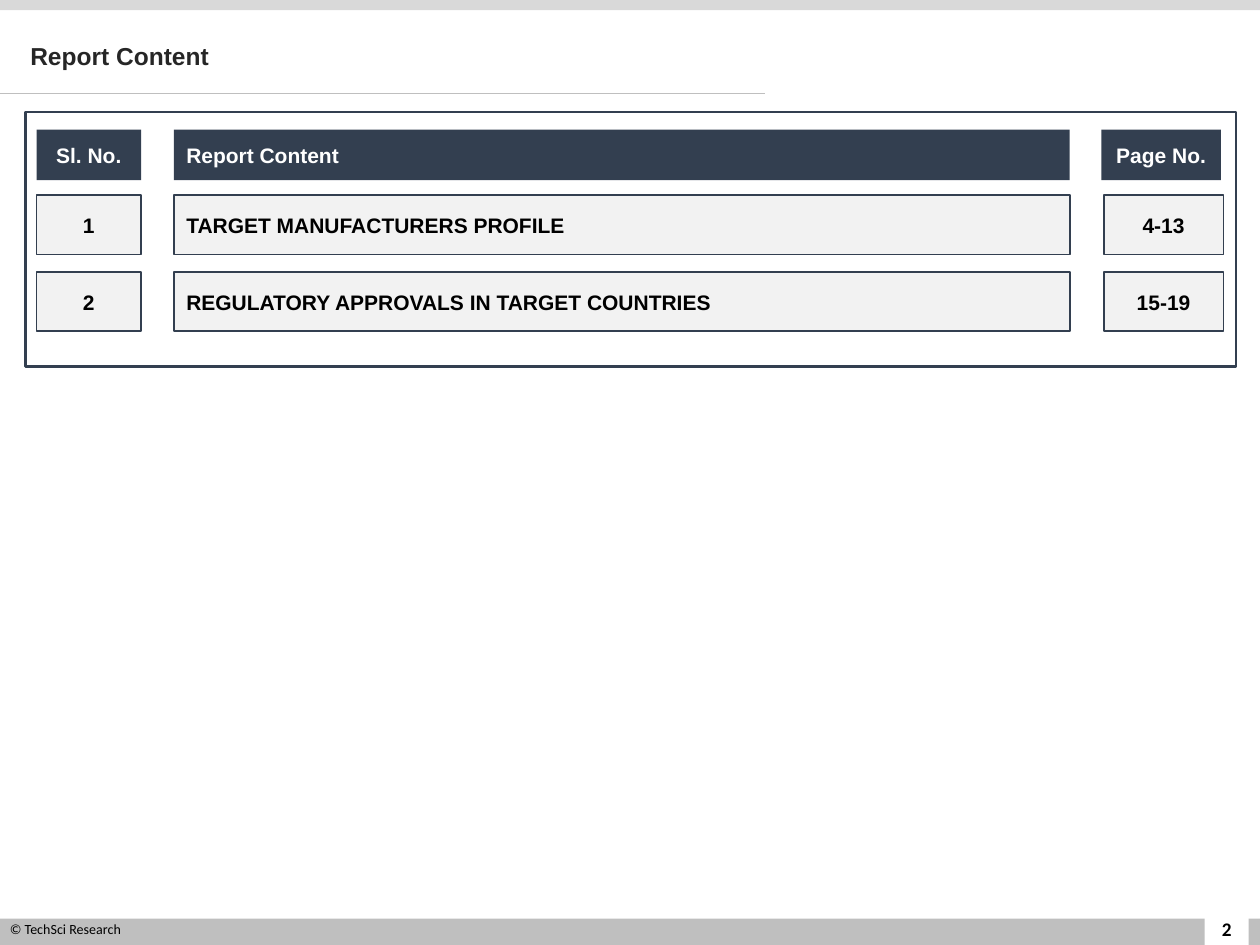
"""Build the report content slide with its numbered contents rows."""
from lxml import etree
from pptx import Presentation
from pptx.dml.color import RGBColor
from pptx.enum.shapes import MSO_CONNECTOR, MSO_SHAPE
from pptx.enum.text import MSO_ANCHOR as Anchor, MSO_AUTO_SIZE, PP_ALIGN as Align
from pptx.oxml.ns import qn
from pptx.util import Inches, Pt

COLORS = {
    "navy": "333F50",
    "panel": "F2F2F2",
    "footer": "BFBFBF",
    "header": "D9D9D9",
    "title": "262626",
    "white": "FFFFFF",
    "black": "000000",
}


class SlideBuilder:
    def __init__(self, deck):
        self.page = deck.slides.add_slide(deck.slide_layouts[5])
        self.shapes = self.page.shapes

    def color(self, name):
        return RGBColor.from_string(COLORS[name])

    def add_text(self, box, text, size, color="black", font="Arial", bold=True,
                 align=Align.LEFT, anchor=Anchor.MIDDLE):
        frame = box.text_frame
        frame.word_wrap = True
        frame.auto_size = MSO_AUTO_SIZE.NONE
        frame.vertical_anchor = anchor
        para = frame.paragraphs[0]
        para.alignment = align
        span = para.add_run()
        span.text = text
        span.font.name = font
        span.font.size = Pt(size)
        span.font.bold = bold
        span.font.color.rgb = self.color(color)
        return para

    def title(self, text, left, top, width, height):
        box = self.shapes.title
        box.left, box.top = Inches(left), Inches(top)
        box.width, box.height = Inches(width), Inches(height)
        self.add_text(box, text, 14, "title").line_spacing = 0.9

    def rectangle(self, left, top, width, height, fill=None, line=None,
                  weight=1, parent=None):
        box = (parent or self.shapes).add_shape(
            MSO_SHAPE.RECTANGLE, Inches(left), Inches(top), Inches(width), Inches(height))
        box.shadow.inherit = False
        if fill:
            box.fill.solid()
            box.fill.fore_color.rgb = self.color(fill)
        else:
            box.fill.background()
        if line:
            box.line.color.rgb = self.color(line)
            box.line.width = Pt(weight)
        else:
            box.line.fill.background()
        return box

    def label(self, text, left, top, width, height, size, **style):
        box = self.shapes.add_textbox(
            Inches(left), Inches(top), Inches(width), Inches(height))
        self.add_text(box, text, size, font="Calibri", **style)

    def rule(self, left, top, width):
        line = self.shapes.add_connector(
            MSO_CONNECTOR.STRAIGHT, Inches(left), Inches(top),
            Inches(left + width), Inches(top))
        line.line.color.rgb = self.color("footer")
        line.line.width = Pt(0.5)
        etree.SubElement(line._element.spPr, qn("a:effectLst"))

    def row(self, texts, lefts, top, height, fill, line, color):
        group = self.shapes.add_group_shape()
        widths = (0.83, 7.11, 0.95)
        aligns = (Align.CENTER, Align.LEFT, Align.CENTER)
        for text, left, width, align in zip(texts, lefts, widths, aligns):
            box = self.rectangle(left, top, width, height, fill, line,
                                 parent=group.shapes)
            self.add_text(box, text, 12, color, align=align)


def main():
    deck = Presentation()
    deck.slide_width, deck.slide_height = Inches(10), Inches(7.5)
    slide = SlideBuilder(deck)

    slide.rectangle(0, 7.29, 10, 0.21, "footer")
    slide.rectangle(0, 0, 10, 0.08, "header")
    slide.rectangle(9.56, 7.13, 0.35, 0.37, "white")
    slide.label("2", 9.49, 7.24, 0.49, 0.26, 11, align=Align.CENTER)
    slide.rule(0, 0.74, 6.07)
    slide.label("© TechSci Research", -0.02, 7.26, 2.06, 0.24, 8,
                bold=False, anchor=Anchor.TOP)
    slide.title("Report Content", 0.14, 0.21, 8.6, 0.5)

    slide.row(("Sl. No.", "Report Content", "Page No."), (0.29, 1.38, 8.74),
              1.03, 0.4, "navy", None, "white")
    slide.rectangle(0.2, 0.89, 9.61, 2.02, line="navy", weight=1.5)
    entries = (
        ("1", "TARGET MANUFACTURERS PROFILE", "4-13"),
        ("2", "REGULATORY APPROVALS IN TARGET COUNTRIES", "15-19"),
    )
    for index, entry in enumerate(entries):
        slide.row(entry, (0.29, 1.38, 8.76), 1.55 + index * 0.61, 0.47,
                  "panel", "navy", "black")
    deck.save("out.pptx")


if __name__ == "__main__":
    main()
